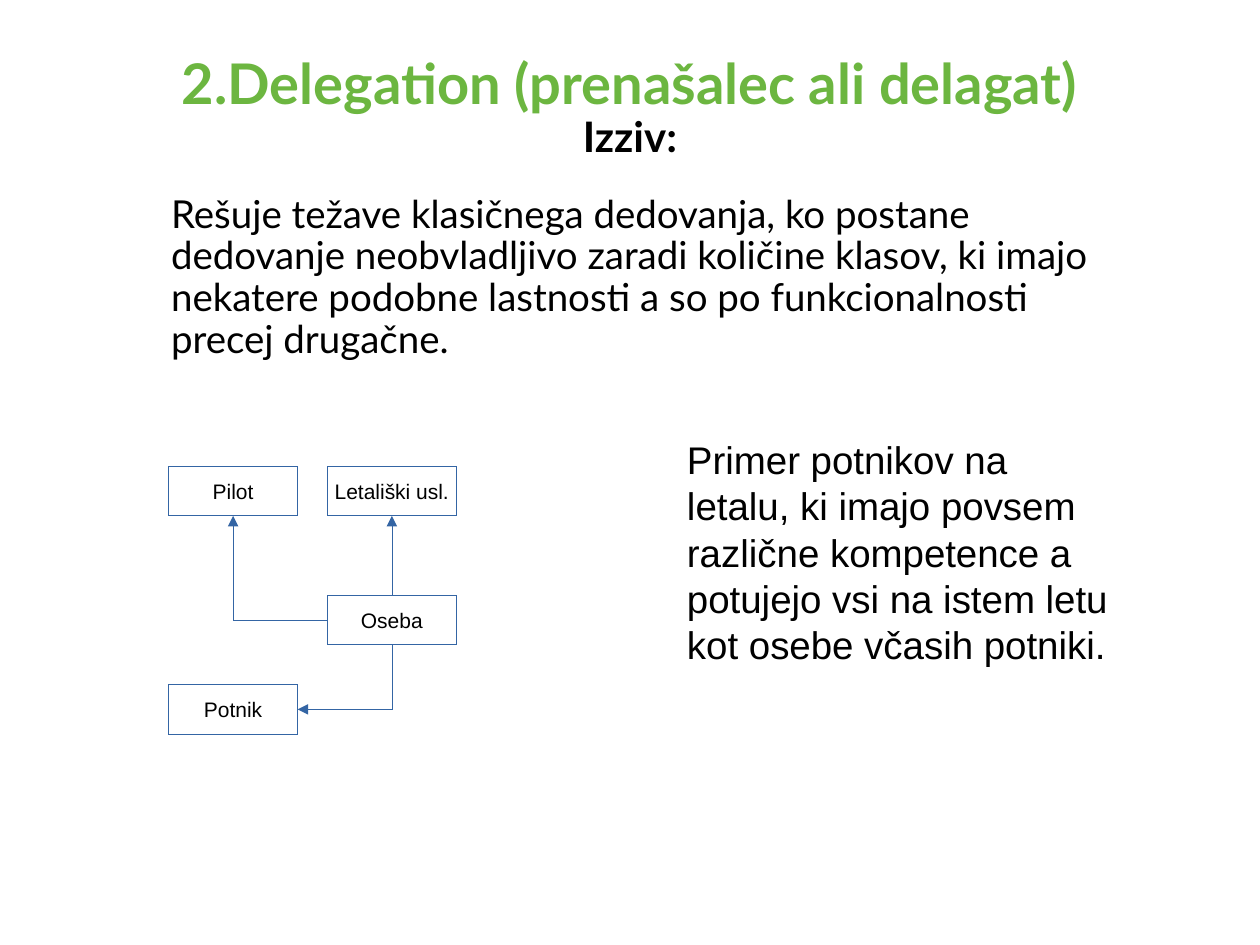
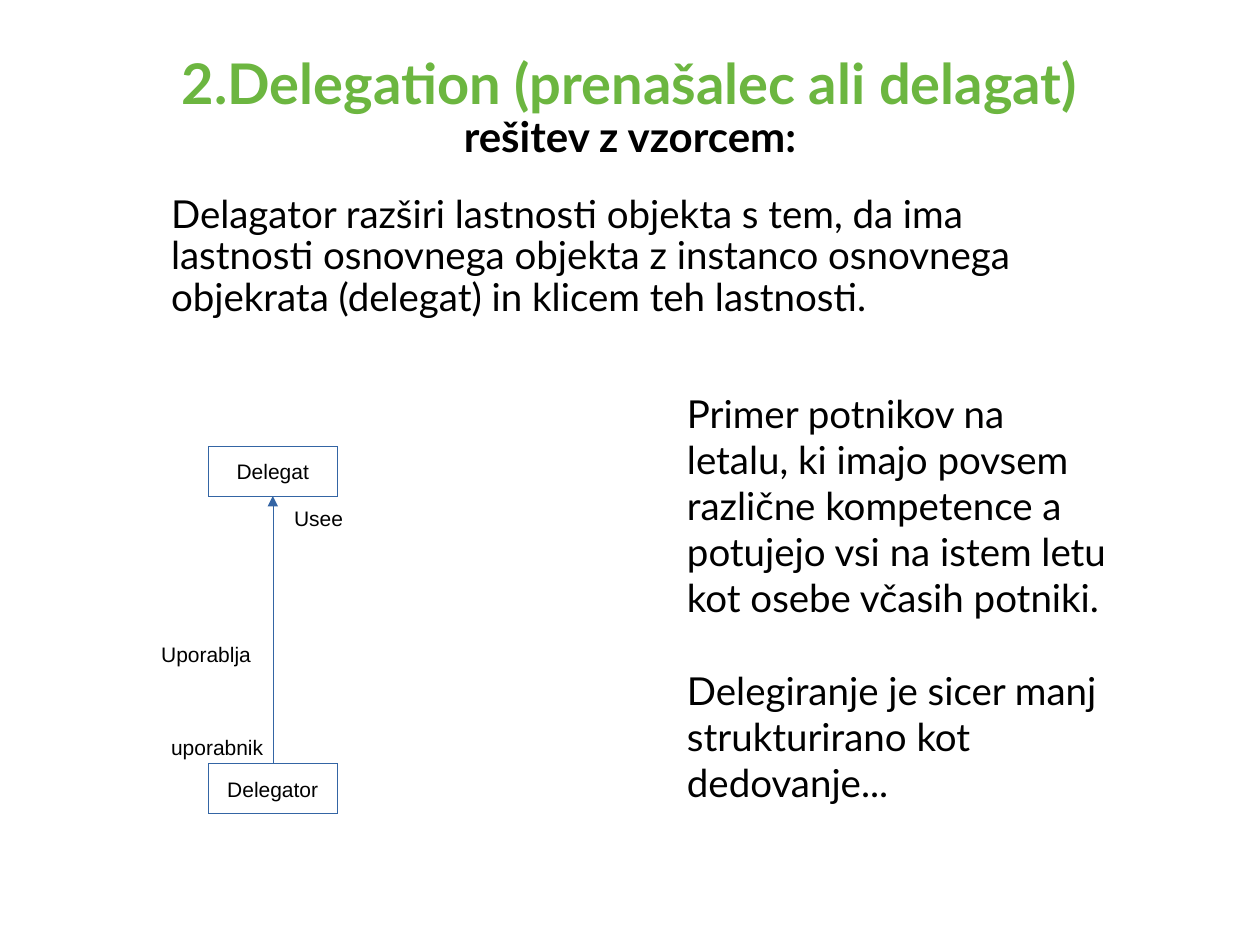
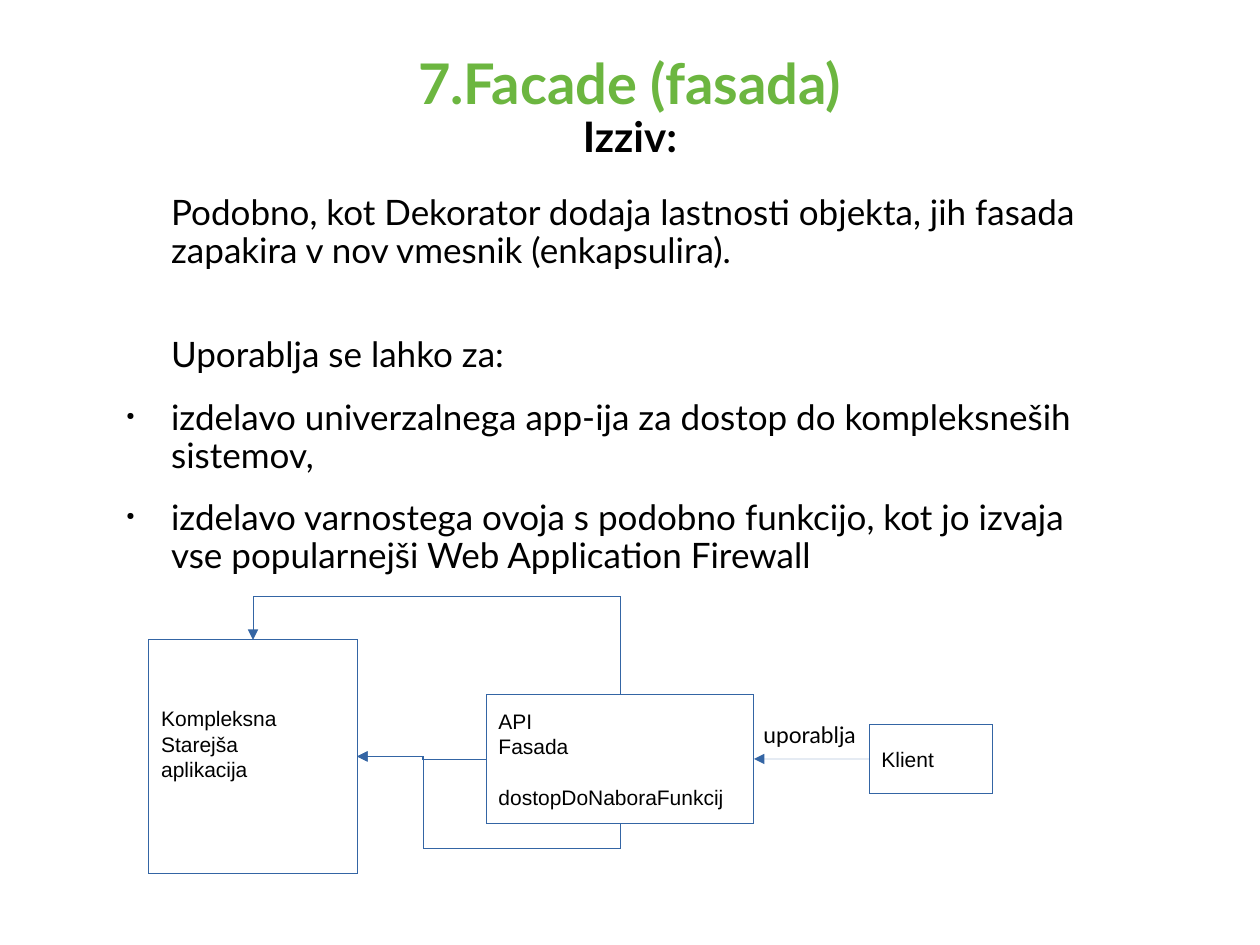
import pptx
import pptx.util
from pptx.dml.color import RGBColor
from pptx.enum.shapes import MSO_CONNECTOR, MSO_SHAPE
from pptx.enum.text import MSO_ANCHOR, PP_ALIGN
from pptx.oxml.ns import qn
from lxml import etree

Cm, Pt = pptx.util.Cm, pptx.util.Pt

GREEN = RGBColor(0x6C, 0xB6, 0x40)
BLUE = RGBColor(0x34, 0x65, 0xA4)
BLACK = RGBColor(0, 0, 0)
WHITE = RGBColor(0xFF, 0xFF, 0xFF)

HEAD_FONT, DIAGRAM_FONT = "Lato", "Arial"
LINE_HEIGHT = 1.2  # line pitch relative to the font size
BODY_GAP = 14.2
TOP, LEFT, BOTTOM, RIGHT = range(4)  # connection sites of a box

DELEGATION = "2.Delegation (prenašalec ali delagat)"
PASSENGERS = ("Primer potnikov na letalu, ki imajo povsem različne kompetence a "
              "potujejo vsi na istem letu kot osebe včasih potniki.")


# --- Text ---
def add_bullet(properties):
    color = etree.SubElement(properties, qn("a:buClr"))
    etree.SubElement(color, qn("a:srgbClr"), val=str(BLACK))
    etree.SubElement(properties, qn("a:buSzPct"), val="30000")
    etree.SubElement(properties, qn("a:buChar"), char="●")


def write(shape, text, size=12, font=DIAGRAM_FONT, color=BLACK, bold=False,
          align=PP_ALIGN.LEFT, spacing=None, before=0, margin=0, bullet=False):
    """Append one formatted paragraph to the shape."""
    frame = shape.text_frame
    paragraph = frame.add_paragraph() if frame.text else frame.paragraphs[0]
    properties = paragraph._p.get_or_add_pPr()
    if margin:
        properties.set("marL", str(Cm(margin)))
        properties.set("indent", str(Cm(-0.9 if bullet else 0)))
    if bullet:
        add_bullet(properties)
    paragraph.alignment = align
    paragraph.line_spacing = spacing or Pt(size * LINE_HEIGHT)
    paragraph.space_before = Pt(before)
    run = paragraph.add_run()
    run.text = text
    run.font.name, run.font.size, run.font.bold = font, Pt(size), bold
    run.font.color.rgb = color


def add_text_area(slide, left, top, width, height, wrap=True):
    area = slide.shapes.add_textbox(Cm(left), Cm(top), Cm(width), Cm(height))
    area.text_frame.word_wrap = wrap
    return area


def add_heading(slide, pattern, stage):
    heading = add_text_area(slide, 1.27, 1.0, 22.86, 2.95)
    for text, size, color in ((pattern, 32, GREEN), (stage, 24, BLACK)):
        write(heading, text, size=size, font=HEAD_FONT, color=color, bold=True,
              align=PP_ALIGN.CENTER, spacing=0.9)


def add_body(slide, paragraphs, size=22):
    """Each paragraph is (text, space before, has bullet)."""
    body = add_text_area(slide, 2, 3.81, 20.4, 2)
    for text, before, bullet in paragraphs:
        write(body, text, size=size, font=HEAD_FONT, spacing=0.9,
              before=before, margin=1.2, bullet=bullet)


def add_label(slide, text, left, top, width, height=0.74, **style):
    write(add_text_area(slide, left, top, width, height, wrap=False), text, **style)


# --- Diagram ---
def draw_hairline(shape):
    """Give the shape the thinnest blue line; the zero width must be written out."""
    shape.line.color.rgb = BLUE
    line = shape.line._get_or_add_ln()
    line.set("w", "0")
    return line


def add_box(slide, lines, left, top, width=2.6, height=1.0, align=PP_ALIGN.CENTER):
    """Each line is (text, space before)."""
    box = slide.shapes.add_shape(MSO_SHAPE.FLOWCHART_PROCESS,
                                 Cm(left), Cm(top), Cm(width), Cm(height))
    box.shadow.inherit = False
    box.fill.solid()
    box.fill.fore_color.rgb = WHITE
    draw_hairline(box)
    box.text_frame.vertical_anchor = MSO_ANCHOR.MIDDLE
    box.text_frame.word_wrap = align == PP_ALIGN.LEFT
    for text, before in lines:
        write(box, text, align=align, before=before)
    return box


def add_arrow(slide, source, source_site, target, target_site,
              kind=MSO_CONNECTOR.STRAIGHT):
    arrow = slide.shapes.add_connector(kind, 0, 0, 0, 0)
    arrow.begin_connect(source, source_site)
    arrow.end_connect(target, target_site)
    etree.SubElement(draw_hairline(arrow), qn("a:tailEnd"), type="triangle")
    etree.SubElement(arrow._element.spPr, qn("a:effectLst"))
    return arrow


def add_elbow(slide, source, source_site, target, target_site, preset, turn,
              flipped=False, bends=()):
    """Arrow with corners: turn in degrees, bends as fractions of its frame."""
    arrow = add_arrow(slide, source, source_site, target, target_site,
                      MSO_CONNECTOR.ELBOW)
    width, height = arrow.width, arrow.height
    center_x, center_y = arrow.left + width // 2, arrow.top + height // 2
    if turn in (90, 270):
        width, height = height, width
    arrow.left, arrow.top = center_x - width // 2, center_y - height // 2
    arrow.width, arrow.height = width, height

    frame = arrow._element.spPr.find(qn("a:xfrm"))
    frame.set("rot", str(turn * 60000))
    frame.set("flipH", "0")
    frame.set("flipV", str(int(flipped)))
    geometry = arrow._element.spPr.find(qn("a:prstGeom"))
    geometry.set("prst", preset)
    guides = geometry.find(qn("a:avLst"))
    for number, bend in enumerate(bends, 1):
        etree.SubElement(guides, qn("a:gd"), name=f"adj{number}",
                         fmla=f"val {round(bend * 100000)}")


# --- Slides ---
def delegation_challenge(slide):
    add_heading(slide, DELEGATION, "Izziv:")
    example = add_text_area(slide, 13.6, 8.67, 9, 6.25)
    write(example, PASSENGERS, size=22)
    add_body(slide, [(
        "Rešuje težave klasičnega dedovanja, ko postane dedovanje neobvladljivo "
        "zaradi količine klasov, ki imajo nekatere podobne lastnosti a so po "
        "funkcionalnosti precej drugačne.", 0, False)])

    person = add_box(slide, [("Oseba", 0)], 6.6, 12)
    pilot = add_box(slide, [("Pilot", 0)], 3.4, 9.4)
    staff = add_box(slide, [("Letališki usl.", 0)], 6.6, 9.4)
    passenger = add_box(slide, [("Potnik", 0)], 3.4, 13.8)
    add_elbow(slide, person, LEFT, pilot, BOTTOM, "bentConnector2", 180)
    add_arrow(slide, person, TOP, staff, BOTTOM)
    add_elbow(slide, person, BOTTOM, passenger, RIGHT, "bentConnector2", 90)


def delegation_solution(slide):
    add_heading(slide, DELEGATION, "rešitev z vzorcem:")
    example = add_text_area(slide, 13.6, 7.73, 9, 11.2)
    write(example, PASSENGERS, size=22, font=HEAD_FONT)
    write(example, "Delegiranje je sicer manj strukturirano kot dedovanje...",
          size=22, font=HEAD_FONT, before=22 * LINE_HEIGHT)
    add_body(slide, [(
        "Delagator razširi lastnosti objekta s tem, da ima lastnosti osnovnega "
        "objekta z instanco osnovnega objekrata (delegat) in klicem teh "
        "lastnosti.", 0, False)])

    delegator = add_box(slide, [("Delegator", 0)], 4.2, 15.4)
    delegate = add_box(slide, [("Delegat", 0)], 4.2, 9)
    add_arrow(slide, delegator, TOP, delegate, BOTTOM)
    add_label(slide, "Uporablja", 3, 12.8, 2.5)
    add_label(slide, "Usee", 5.68, 10.06, 1.7)
    add_label(slide, "uporabnik", 3.2, 14.68, 2.5)


def facade_challenge(slide):
    add_heading(slide, "7.Facade (fasada)", "Izziv:")
    add_body(slide, [
        ("Podobno, kot Dekorator dodaja lastnosti objekta, jih fasada zapakira "
         "v nov vmesnik (enkapsulira).", 0, False),
        ("Uporablja se lahko za:", 38.1, False),
        ("izdelavo univerzalnega app-ija za dostop do kompleksneših sistemov,",
         BODY_GAP, True),
        ("izdelavo varnostega ovoja s podobno funkcijo, kot jo izvaja vse "
         "popularnejši Web Application Firewall", BODY_GAP, True),
    ], size=20)

    client = add_box(slide, [("Klient", 0)], 17.52, 14.6, 2.48, 1.4, PP_ALIGN.LEFT)
    facade = add_box(slide, [("API", 0), ("Fasada", 0),
                             ("dostopDoNaboraFunkcij", 12 * LINE_HEIGHT)],
                     9.8, 14, 5.4, 2.6, PP_ALIGN.LEFT)
    legacy = add_box(slide, [("Kompleksna", 0), ("Starejša", 0), ("aplikacija", 0)],
                     3, 12.9, 4.2, 4.7, PP_ALIGN.LEFT)
    legacy.text_frame.margin_bottom = Cm(0.64)
    add_arrow(slide, client, LEFT, facade, RIGHT)
    add_elbow(slide, facade, TOP, legacy, TOP, "bentConnector3", 270, True, [1.81])
    add_elbow(slide, facade, LEFT, legacy, RIGHT, "bentConnector3", 180, False, [0.5])
    add_elbow(slide, facade, BOTTOM, legacy, RIGHT, "bentConnector4", 270, True,
              [-0.37, 0.75])
    add_label(slide, "uporablja", 15.14, 14.4, 2.54, 0.86, size=13, font=HEAD_FONT)


def main():
    deck = pptx.Presentation()
    deck.slide_width, deck.slide_height = Cm(25.4), Cm(19.05)
    for build in (delegation_challenge, delegation_solution, facade_challenge):
        build(deck.slides.add_slide(deck.slide_layouts[6]))
    deck.save("out.pptx")


if __name__ == "__main__":
    main()
